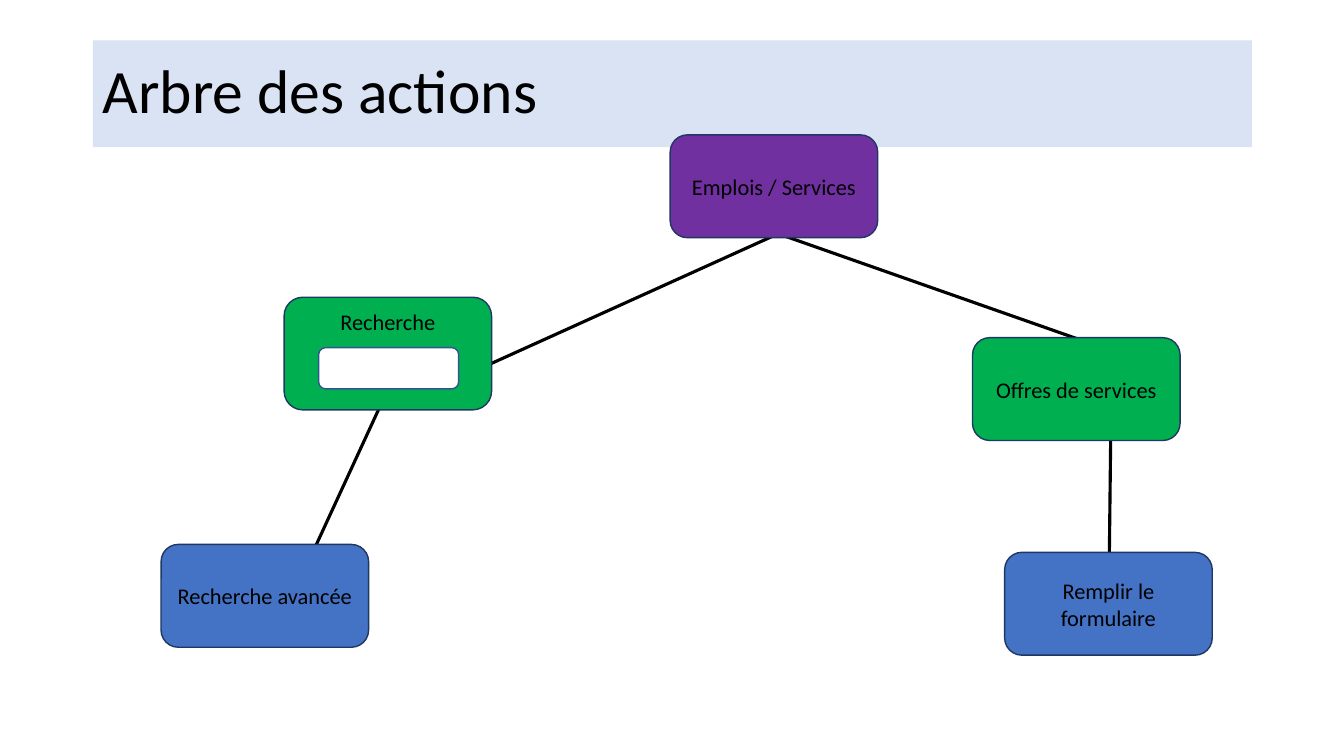
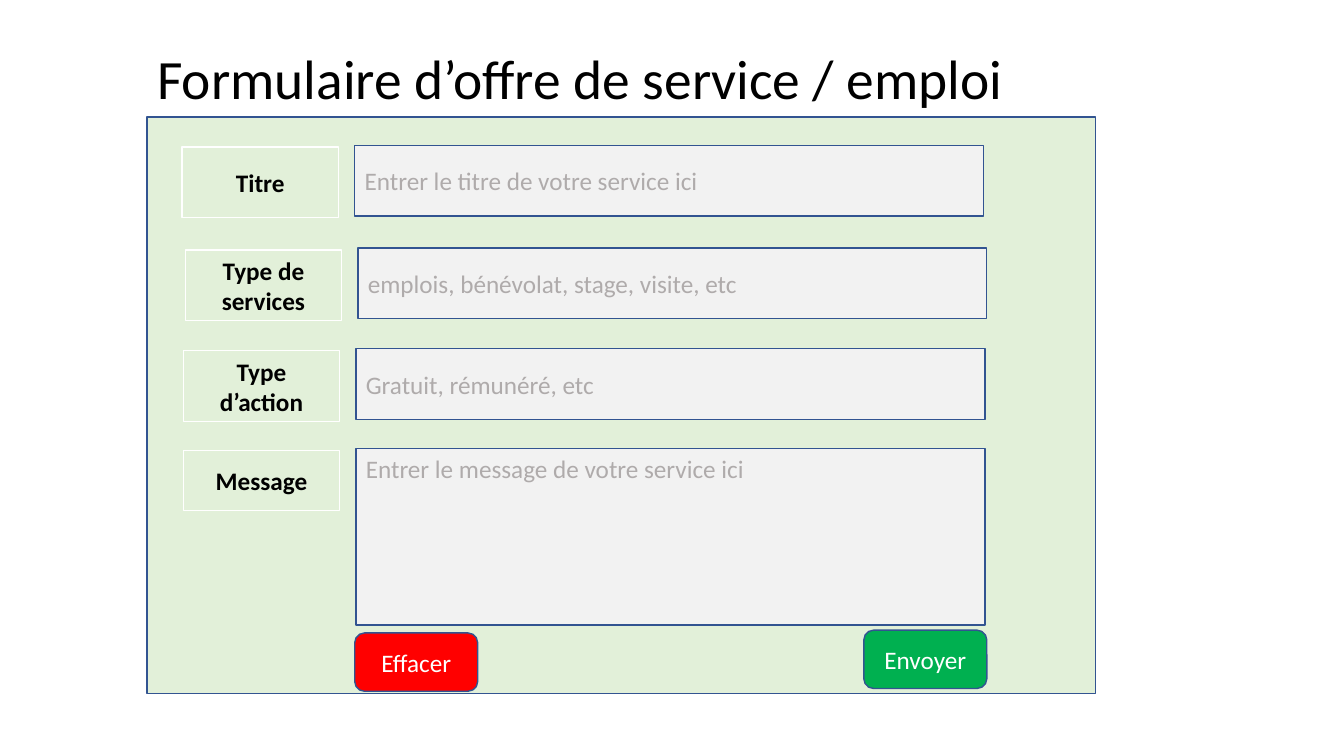
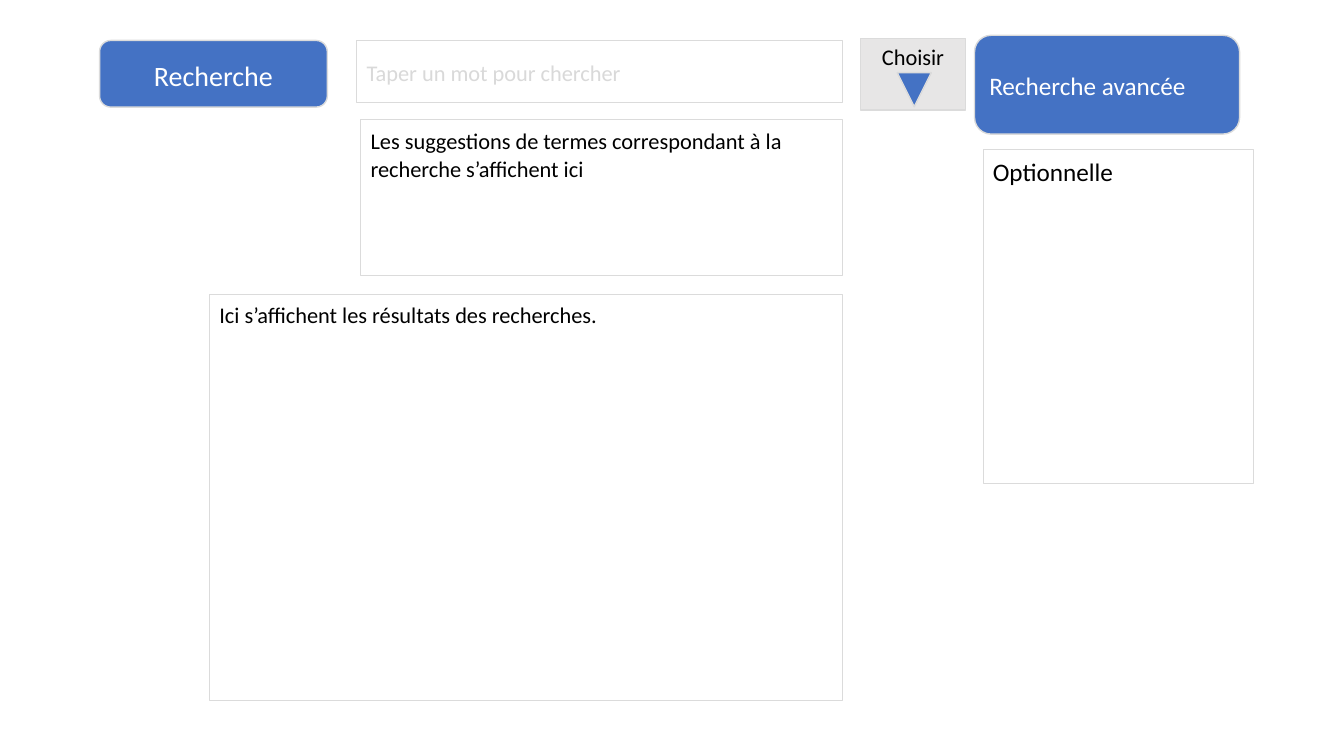
from pptx import Presentation
from pptx.util import Cm, Pt
from pptx.dml.color import RGBColor
from pptx.enum.shapes import MSO_SHAPE, MSO_CONNECTOR
from pptx.enum.text import PP_ALIGN, MSO_ANCHOR, MSO_AUTO_SIZE
from pptx.oxml.ns import qn
from lxml.etree import SubElement

RECT, ROUND = MSO_SHAPE.RECTANGLE, MSO_SHAPE.ROUNDED_RECTANGLE
LEFT, MID = PP_ALIGN.LEFT, PP_ALIGN.CENTER
TOP, HALF = MSO_ANCHOR.TOP, MSO_ANCHOR.MIDDLE
BLACK, WHITE, BLUE, GREEN = "000000", "FFFFFF", "4472C4", "00B050"
NAVY, EDGE, PALE, MINT, GREY = "1F3763", "325491", "DAE3F3", "E2F0D9", "DBDBDB"

TREE = ("Arbre des actions", 44, (2.34, 1.02, 29.21, 2.69), PALE)
NODE = (5.23, 2.59)
NODES = [
    ("Emplois / Services", "7030A0", (16.89, 3.4)),
    ("Remplir le formulaire", BLUE, (25.32, 13.92)),
    ("Offres de services", GREEN, (24.51, 8.51)),
    ("Recherche avancée", BLUE, (4.06, 13.72)),
]
SEARCH = ("Recherche", (7.16, 7.49, 5.23, 2.84))
ENTRY = (8.03, 8.76, 3.53, 1.04)
LINKS = [
    (27.99, 11.07, 27.94, 15.42),
    (9.78, 9.8, 7.54, 14.66),
    (19.61, 5.89, 12.07, 9.3),
    (28.07, 8.86, 19.61, 5.89),
]

FORM = ("Formulaire d’offre de service / emploi", 39.6, (3.71, 1.17, 26.44, 1.78), None)
PANEL = (3.71, 2.95, 23.9, 14.53)
ROWS = [
    ("Titre", "Entrer le titre de votre service ici", 8.94, 3.66, 1.78, 1.78, HALF),
    ("Type de services", "emplois, bénévolat, stage, visite, etc", 9.02, 6.25, 1.78, 1.78, HALF),
    ("Type d’action", "Gratuit, rémunéré, etc", 8.97, 8.79, 1.78, 1.78, HALF),
    ("Message", "Entrer le message de votre service ici", 8.97, 11.3, 4.45, 1.52, TOP),
]
BUTTONS = [
    ("Envoyer", GREEN, (21.77, 15.88, 3.1, 1.47)),
    ("Effacer", "FF0000", (8.94, 15.95, 3.1, 1.47)),
]

PARTS = [
    (ROUND, "Recherche", (2.51, 1.02, 5.74, 1.68), BLUE, 1, WHITE, 20, MID, HALF),
    (RECT, "Taper un mot pour chercher", (8.99, 1.02, 12.24, 1.57), WHITE, 1, "D9D9D9", 16, LEFT, HALF),
    (ROUND, "Recherche avancée", (24.56, 0.89, 6.68, 2.49), BLUE, 1, WHITE, 18, LEFT, HALF),
    (RECT, "Les suggestions de termes correspondant à la recherche s’affichent ici",
     (9.09, 3.02, 12.14, 3.91), WHITE, 0.5, BLACK, 16, LEFT, TOP),
    (RECT, "Ici s’affichent les résultats des recherches.",
     (5.28, 7.42, 15.95, 10.24), WHITE, 0.5, BLACK, 16, LEFT, TOP),
    (RECT, "Optionnelle", (24.77, 3.76, 6.83, 8.41), WHITE, 0.5, BLACK, 18, LEFT, TOP),
]
PICK = ("Choisir", (21.69, 0.97, 2.64, 1.8))
ARROW = (22.61, 1.83, 0.86, 0.86)
LOOSE = {"line_spacing": 1.07, "space_after": Pt(8)}


def ink(code):
    return RGBColor.from_string(code)


def put(item, vals):
    for key, val in vals.items():
        setattr(item, key, val)


def paint(part, code):
    part.solid()
    part.fore_color.rgb = ink(code)


def write(shape, text, size, tint=BLACK, align=MID, anchor=HALF, bold=False, gaps={}):
    frame = shape.text_frame
    put(frame, {"text": text, "word_wrap": True, "vertical_anchor": anchor,
                "auto_size": MSO_AUTO_SIZE.NONE})
    par = frame.paragraphs[0]
    put(par, {"alignment": align, **gaps})
    font = par.runs[0].font
    put(font, {"name": "Calibri", "size": Pt(size), "bold": bold})
    font.color.rgb = ink(tint)


def draw(slide, kind, box, fill, edge, width=1):
    shape = slide.shapes.add_shape(kind, *map(Cm, box))
    shape.shadow.inherit = False
    paint(shape.fill, fill)
    paint(shape.line.fill, edge)
    shape.line.width = Pt(width)
    return shape


def link(slide, ends):
    line = slide.shapes.add_connector(MSO_CONNECTOR.STRAIGHT, *map(Cm, ends))
    paint(line.line.fill, BLACK)
    line.line.width = Pt(2.25)
    SubElement(line._element.spPr, qn("a:effectLst"))


def head(deck, text, size, box, fill):
    slide = deck.slides.add_slide(deck.slide_layouts[5])
    title = slide.shapes.title
    put(title, dict(zip(("left", "top", "width", "height"), map(Cm, box))))
    write(title, text, size, align=LEFT, gaps={"line_spacing": 0.9})
    if fill:
        paint(title.fill, fill)
    return slide


def tree(deck):
    slide = head(deck, *TREE)
    for ends in LINKS:
        link(slide, ends)
    for text, fill, spot in NODES:
        write(draw(slide, ROUND, spot + NODE, fill, NAVY), text, 16)
    text, box = SEARCH
    write(draw(slide, ROUND, box, GREEN, NAVY), text, 16, anchor=TOP)
    draw(slide, ROUND, ENTRY, WHITE, EDGE)


def form(deck):
    slide = head(deck, *FORM)
    draw(slide, RECT, PANEL, MINT, EDGE)
    for name, hint, left, top, tall, low, anchor in ROWS:
        field = draw(slide, RECT, (left, top, 15.85, tall), "F2F2F2", EDGE)
        write(field, hint, 18, "AFABAB", LEFT, anchor)
        label = draw(slide, RECT, (left - 4.35, top + 0.05, 3.94, low), MINT, WHITE)
        write(label, name, 18, bold=True)
    for text, fill, box in BUTTONS:
        write(draw(slide, ROUND, box, fill, EDGE), text, 18, WHITE)


def search(deck):
    slide = deck.slides.add_slide(deck.slide_layouts[6])
    for kind, text, box, fill, width, tint, size, align, anchor in PARTS:
        shape = draw(slide, kind, box, fill, GREY, width)
        write(shape, text, size, tint, align, anchor, gaps=LOOSE)
    text, box = PICK
    write(draw(slide, RECT, box, "E7E6E6", GREY), text, 16, anchor=TOP)
    draw(slide, MSO_SHAPE.ISOSCELES_TRIANGLE, ARROW, BLUE, GREY).rotation = 180


deck = Presentation()
put(deck, {"slide_width": Cm(33.87), "slide_height": Cm(19.05)})
for build in (tree, form, search):
    build(deck)
deck.save("out.pptx")
